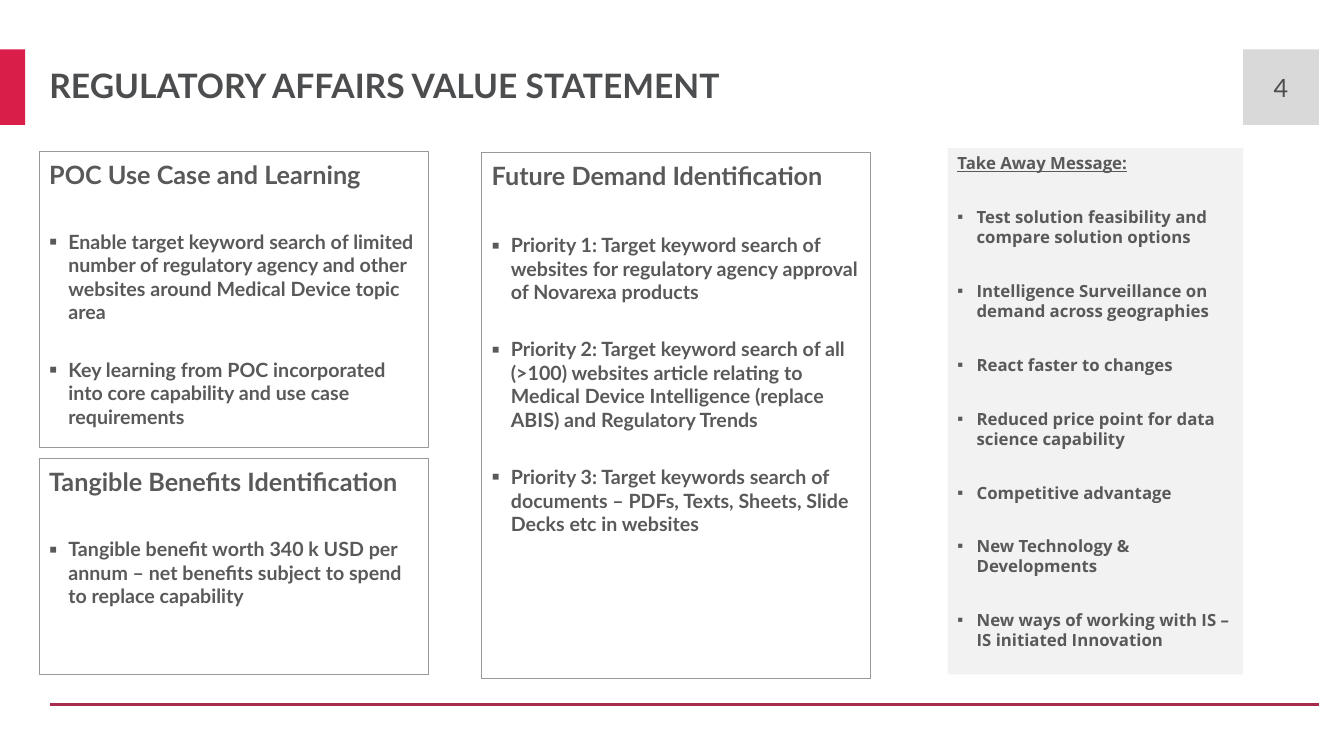
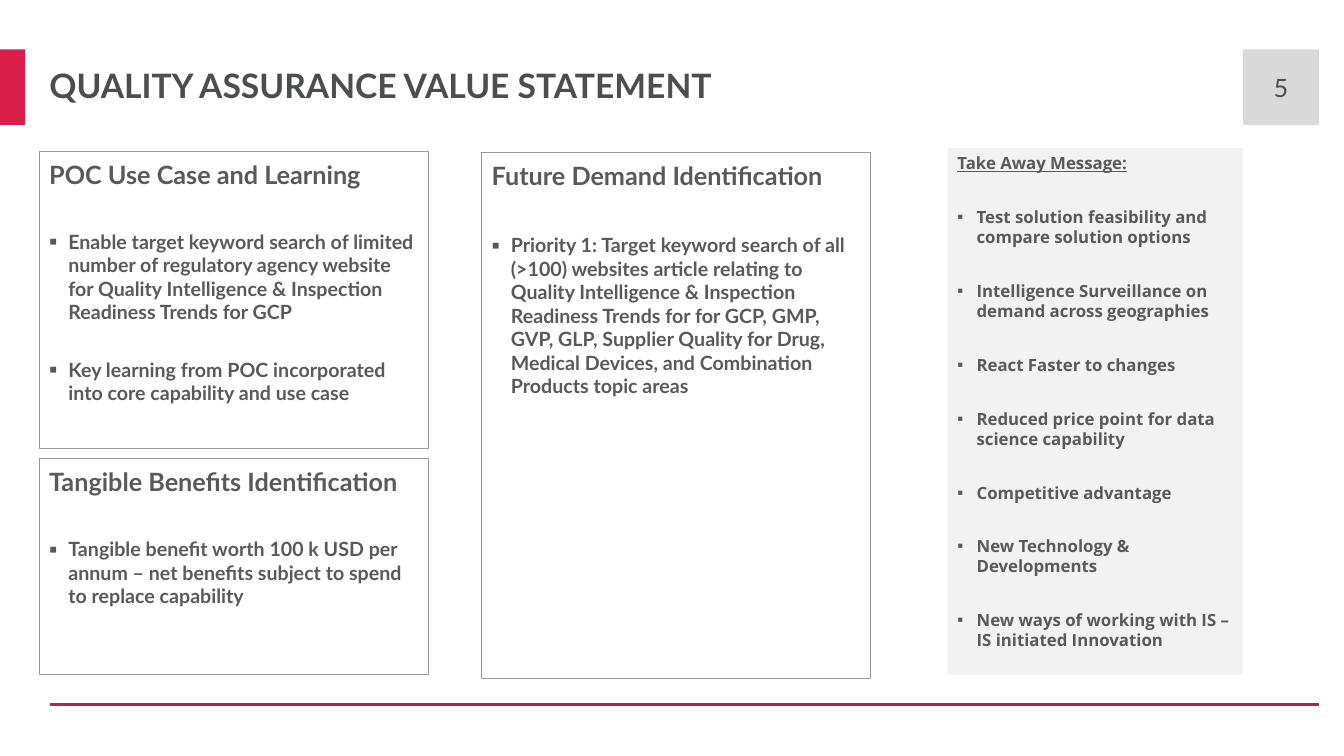
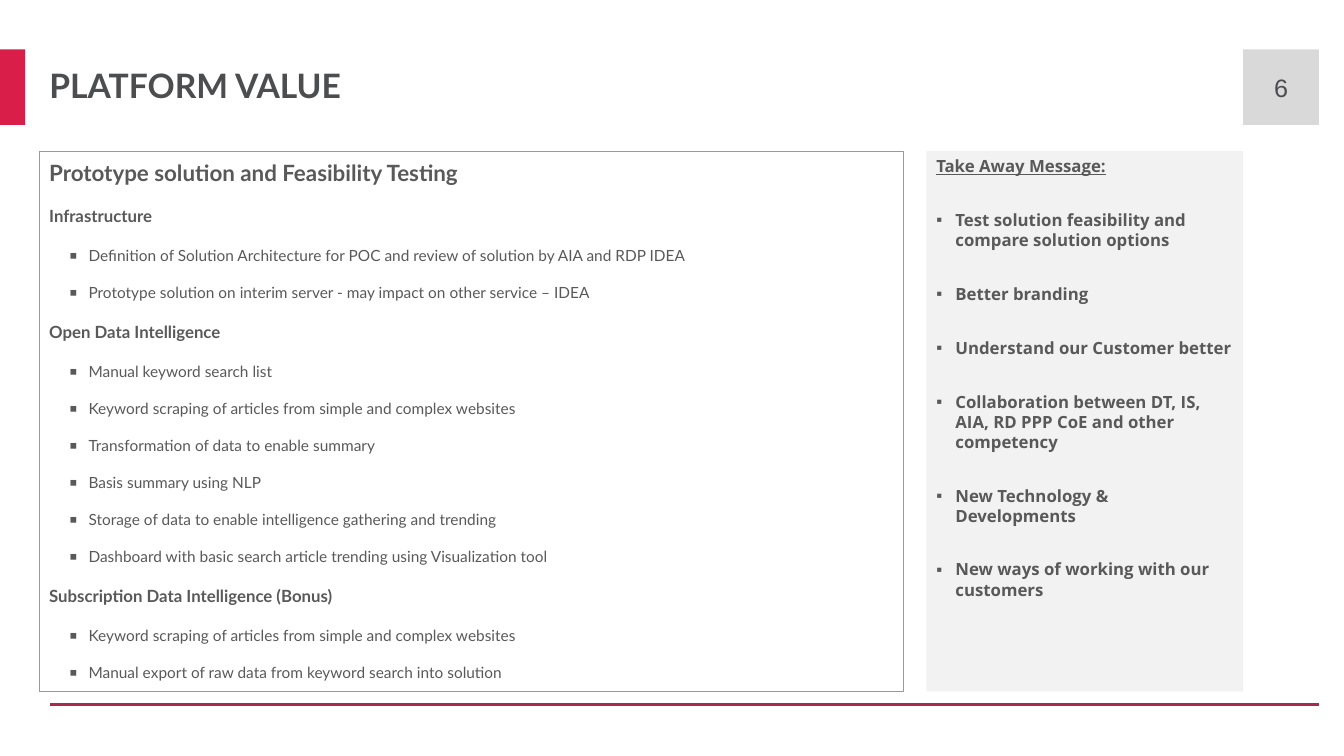
from lxml import etree
from pptx import Presentation
from pptx import util as u
from pptx.dml.color import RGBColor
from pptx.enum import shapes, text
from pptx.oxml import ns

RED = RGBColor(0xD9, 0x1E, 0x49)
WINE = RGBColor(0xA6, 0x2B, 0x4D)
INK = RGBColor(0x4C, 0x4D, 0x4F)
GREY = RGBColor(0x59, 0x59, 0x59)
EDGE = RGBColor(0x99, 0x99, 0x99)
BAND = RGBColor(0xD9, 0xD9, 0xD9)
PALE = RGBColor(0xF2, 0xF2, 0xF2)

WIDTH, HEIGHT = u.Inches(13.33), u.Inches(7.5)
COLS, ROWS = 40, 30
LEFT, RIGHT, END = 1.17, 37, 39.25  # card edge, number band, right margin
TOP, BAR = 1.96, 3                  # title band, in rows
CARD = 11.58                        # card width, in columns
INDENT = u.Inches(0.19)

# Paragraph styles: font, paragraph format, bullet level and bullet size
HEAD = dict(font=dict(size=u.Pt(18), bold=True),
            para=dict(line_spacing=1.1, space_after=u.Pt(16.8)))
POINT = dict(font=dict(size=u.Pt(14), bold=True),
             para=dict(space_before=u.Pt(12), space_after=u.Pt(12)),
             level=1, bullet=120)
TOPIC = dict(font=dict(size=u.Pt(16), bold=True), para=dict(line_spacing=1.1))
GROUP = dict(font=dict(size=u.Pt(12), bold=True),
             para=dict(space_before=u.Pt(14.4), space_after=u.Pt(1.2)))
ITEM = dict(font=dict(size=u.Pt(11), bold=False),
            para=dict(space_before=u.Pt(13.2)), level=2, bullet=150)
NOTE = dict(font=dict(size=u.Pt(12), bold=True, name="Open Sans"),
            para=dict(space_before=u.Pt(12), space_after=u.Pt(12)))
LEAD = dict(NOTE, font=dict(NOTE["font"], underline=True))
TAKE = dict(NOTE, level=1, bullet=100)


def put(thing, values):
    for name, value in values.items():
        setattr(thing, name, value)


class Deck:
    """Holds the shared style and the slide being built."""

    def __init__(self):
        self.show = Presentation()
        put(self.show, dict(slide_width=WIDTH, slide_height=HEIGHT))
        self.slide = None

    def at(self, col, row, wide=0, high=0):
        """Turn grid columns and rows into slide lengths."""
        return [round(n * size / parts) for n, size, parts in (
            (col, WIDTH, COLS), (row, HEIGHT, ROWS),
            (wide, WIDTH, COLS), (high, HEIGHT, ROWS))]

    def page(self, title, number, face="Lato"):
        self.slide = self.show.slides.add_slide(self.show.slide_layouts[5])
        self.title(title)
        self.box((0, TOP, 0.75, BAR), fill=RED)
        band = self.box((RIGHT, TOP, END - RIGHT, BAR), fill=BAND)
        band.text_frame.vertical_anchor = text.MSO_ANCHOR.MIDDLE
        self.words(band, [(str(number), dict(
            font=dict(size=u.Pt(18), name=face, color=INK),
            para=dict(alignment=text.PP_ALIGN.CENTER)))])
        self.rule(1.5, END, 27.96)

    def title(self, words):
        head = self.slide.shapes.title
        put(head, dict(zip(("left", "top", "width", "height"),
                           self.at(LEFT, TOP, RIGHT - LEFT, BAR))))
        put(head.text_frame, dict(auto_size=text.MSO_AUTO_SIZE.NONE,
                                  vertical_anchor=text.MSO_ANCHOR.MIDDLE))
        self.words(head, [(words, dict(
            font=dict(size=u.Pt(24), bold=True, color=INK),
            para=dict(line_spacing=0.9, alignment=text.PP_ALIGN.LEFT)))])

    def box(self, place, fill=None, line=None):
        box = self.slide.shapes.add_shape(
            shapes.MSO_SHAPE.RECTANGLE, *self.at(*place))
        box.shadow.inherit = False
        for part, color in ((box.fill, fill), (box.line.fill, line)):
            if color is None:
                part.background()
            else:
                part.solid()
                part.fore_color.rgb = color
        if line is not None:
            box.line.width = u.Pt(0.75)
        put(box.text_frame, dict(word_wrap=True,
                                 vertical_anchor=text.MSO_ANCHOR.TOP))
        return box

    def rule(self, start, end, row):
        line = self.slide.shapes.add_connector(
            shapes.MSO_CONNECTOR.STRAIGHT,
            *self.at(start, row)[:2], *self.at(end, row)[:2])
        line.line.color.rgb = WINE
        line.line.width = u.Pt(1.75)
        etree.SubElement(line._element.spPr, ns.qn("a:effectLst"))

    def words(self, shape, lines):
        """Fill a shape with (words, style) paragraphs."""
        frame = shape.text_frame
        for i, (words, style) in enumerate(lines):
            para = frame.add_paragraph() if i else frame.paragraphs[0]
            put(para, dict(dict(alignment=text.PP_ALIGN.LEFT), **style["para"]))
            run = para.add_run()
            run.text = words
            font = dict(dict(name="Lato", color=GREY), **style["font"])
            run.font.color.rgb = font.pop("color")
            put(run.font, font)
            if "bullet" in style:
                self.mark(para, style["level"], style["bullet"])

    def mark(self, para, level, size):
        """Give a paragraph a square bullet and a hanging indent."""
        props = para._p.get_or_add_pPr()
        props.set("marL", str(INDENT * level + (level - 1) * u.Inches(0.01)))
        props.set("indent", str(-INDENT))
        for tag, key, value in (("a:buSzPct", "val", size * 1000),
                                ("a:buFont", "typeface", "Arial"),
                                ("a:buChar", "char", "▪")):
            etree.SubElement(props, ns.qn(tag)).set(key, str(value))

    def card(self, place, lines):
        self.words(self.box(place, line=EDGE), lines)

    def panel(self, place, points):
        self.words(self.box(place, fill=PALE),
                   [("Take Away Message:", LEAD)] + [(p, TAKE) for p in points])

    def value(self, title, number, cases, high, needs, worth, react):
        """Build a value statement: three cards and a take-away panel."""
        self.page(title, number)
        wide = dict(HEAD, para=dict(HEAD["para"], space_after=u.Pt(18.5)))
        for place, head, style, points in (
                ((LEFT, 6, CARD, high), "POC Use Case and Learning", HEAD, cases),
                ((14.34, 6.04, CARD, 20.88), "Future Demand Identification",
                 wide, needs),
                ((LEFT, 18.2, CARD, 8.56), "Tangible Benefits Identification",
                 HEAD, [f"Tangible benefit worth {worth} k USD per annum – "
                        "net benefits subject to spend to replace capability"])):
            self.card(place, [(head, style)] + [(p, POINT) for p in points])
        self.panel((28.2, 5.88, RIGHT - 28.2, 20.88), [
            "Test solution feasibility and compare solution options",
            "Intelligence Surveillance on demand across geographies",
            react,
            "Reduced price point for data science capability",
            "Competitive advantage",
            "New Technology & Developments",
            "New ways of working with IS – IS initiated Innovation"])


PLAN = {
    "Infrastructure": [
        "Definition of Solution Architecture for POC and review of solution "
        "by AIA and RDP IDEA",
        "Prototype solution on interim server - may impact on other service – IDEA"],
    "Open Data Intelligence": [
        "Manual keyword search list",
        "Keyword scraping of articles from simple and complex websites",
        "Transformation of data to enable summary",
        "Basis summary using NLP",
        "Storage of data to enable intelligence gathering and trending",
        "Dashboard with basic search article trending using Visualization tool"],
    "Subscription Data Intelligence (Bonus)": [
        "Keyword scraping of articles from simple and complex websites",
        "Manual export of raw data from keyword search into solution"],
}


def main():
    deck = Deck()
    deck.value(
        "REGULATORY AFFAIRS VALUE STATEMENT", 4,
        ["Enable target keyword search of limited number of regulatory agency "
         "and other websites around Medical Device topic area",
         "Key learning from POC incorporated into core capability and use case "
         "requirements"], 11.76,
        ["Priority 1: Target keyword search of websites for regulatory agency "
         "approval of Novarexa products",
         "Priority 2: Target keyword search of all (>100) websites article "
         "relating to Medical Device Intelligence (replace ABIS) and "
         "Regulatory Trends",
         "Priority 3: Target keywords search of documents – PDFs, Texts, "
         "Sheets, Slide Decks etc in websites"],
        340, "React faster to changes")
    deck.value(
        "QUALITY ASSURANCE VALUE STATEMENT", 5,
        ["Enable target keyword search of limited number of regulatory agency "
         "website for Quality Intelligence & Inspection Readiness Trends for GCP",
         "Key learning from POC incorporated into core capability and use case"],
        11.8,
        ["Priority 1: Target keyword search of all (>100) websites article "
         "relating to Quality Intelligence & Inspection Readiness Trends for "
         "for GCP, GMP, GVP, GLP, Supplier Quality for Drug, Medical Devices, "
         "and Combination Products topic areas"],
        100, "React Faster to changes")

    deck.page("PLATFORM VALUE", 6, face="Arial")
    lines = [("Prototype solution and Feasibility Testing", TOPIC)]
    for group, items in PLAN.items():
        lines += [(group, GROUP)] + [(item, ITEM) for item in items]
    deck.card((LEFT, 6, 25.71, 21.44), lines)
    deck.panel((27.57, 6, RIGHT - 27.57, 21.44), [
        "Test solution feasibility and compare solution options",
        "Better branding",
        "Understand our Customer better",
        "Collaboration between DT, IS, AIA, RD PPP CoE and other competency",
        "New Technology & Developments",
        "New ways of working with our customers"])
    deck.show.save("out.pptx")


if __name__ == "__main__":
    main()
